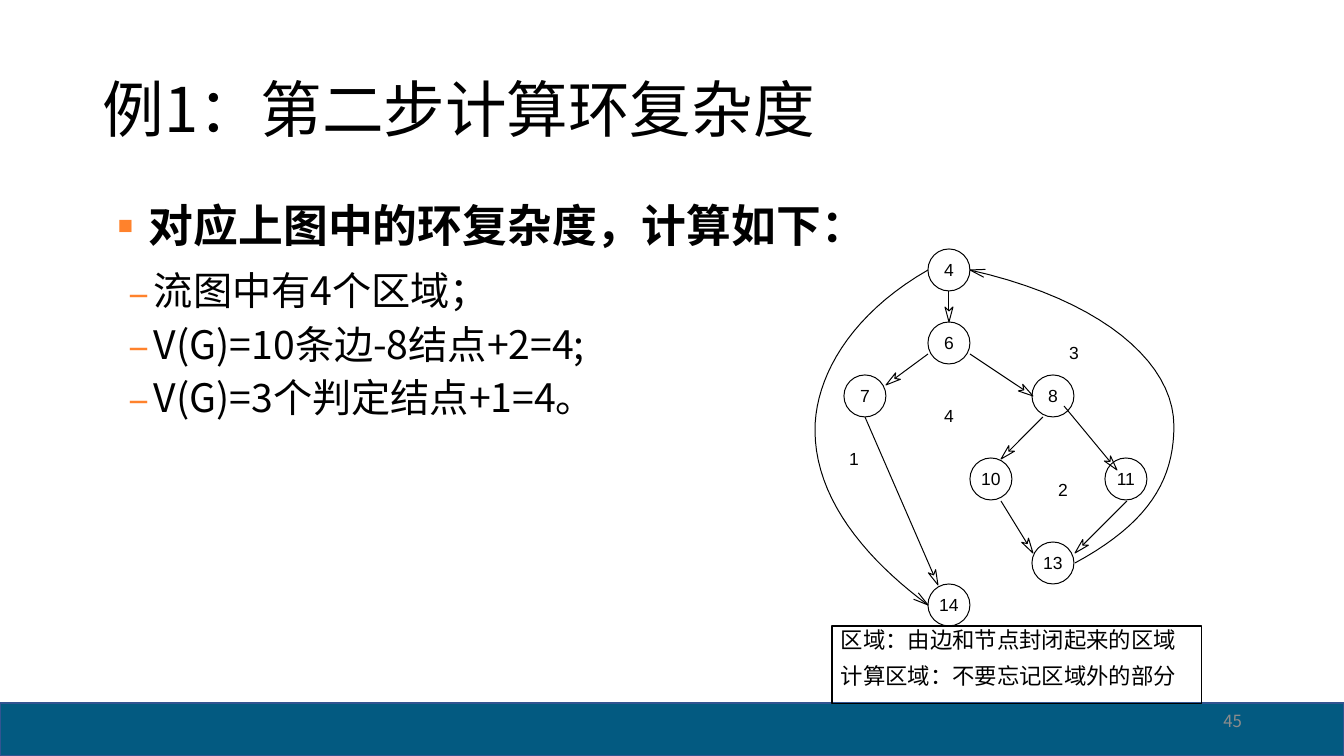
from math import hypot

from lxml.etree import SubElement
from pptx import Presentation
from pptx.dml.color import RGBColor
from pptx.enum.shapes import MSO_CONNECTOR as CONNECTOR, MSO_SHAPE as SHAPE
from pptx.enum.text import MSO_ANCHOR as ANCHOR, PP_ALIGN as ALIGN
from pptx.oxml.ns import qn
from pptx.util import Pt

SCALE = 914400 / 100.8
CJK = "Noto Sans CJK SC"
BLACK, ORANGE, GREY, BLUE, NAVY = "000000", "FF822C", "8C8C8C", "035A81", "325491"
LINE_WIDTH = 0.72
RADIUS = 21

NODES = {
    "4": (134, 21), "6": (134, 94), "7": (50, 147), "8": (238, 147),
    "10": (176, 230), "11": (311, 230), "13": (238, 314), "14": (134, 356),
}
EDGES = [
    ((134, 42), (134, 73)), ((113, 105), (71, 136)),
    ((155, 105), (218, 147)), ((50, 168), (123, 336)),
    ((228, 168), (186, 210)), ((249, 157), (302, 221)),
    ((186, 252), (218, 304)), ((312, 252), (260, 304)),
]
OUTER_EDGES = [
    [(260, 314), (334, 274), (359, 231), (359, 177), (359, 114), (288, 51), (155, 21)],
    [(113, 21), (33, 67), (0, 130), (0, 181), (0, 250), (51, 310), (113, 356)],
]
REGIONS = {"1": (39, 210), "2": (248, 241), "3": (259, 104), "4": (134, 167)}


def px(value):
    return round(value * SCALE)


def color(value):
    return RGBColor.from_string(value)


def apply(target, values):
    for name, value in values.items():
        setattr(target, name, value)


def outline(shape, value=BLACK, width=LINE_WIDTH):
    shape.line.color.rgb = color(value)
    shape.line.width = Pt(width)


def write(shape, lines, size, font=CJK, value=BLACK, bold=False, anchor=ANCHOR.TOP,
          margins=(0, 0, 0, 0), wrap=True, **paragraph_format):
    frame = shape.text_frame
    left, top, right, bottom = map(px, margins)
    apply(frame, dict(word_wrap=wrap, vertical_anchor=anchor, margin_left=left,
                      margin_top=top, margin_right=right, margin_bottom=bottom))
    for index, line in enumerate(lines):
        paragraph = frame.add_paragraph() if index else frame.paragraphs[0]
        apply(paragraph, paragraph_format)
        run = paragraph.add_run()
        run.text = line
        apply(run.font, dict(size=Pt(size), name=font, bold=bold))
        run.font.color.rgb = color(value)
        SubElement(run.font._element, qn("a:ea"), typeface=font)
    return frame.paragraphs


def add_text(slide, box, lines, size, **values):
    shape = slide.shapes.add_textbox(*map(px, box))
    return write(shape, lines, size, **values)


def add_preset(slide, kind, box, fill=None, **line):
    shape = slide.shapes.add_shape(kind, *map(px, box))
    shape.shadow.inherit = False
    if fill:
        shape.fill.solid()
        shape.fill.fore_color.rgb = color(fill)
    else:
        shape.fill.background()
    outline(shape, **line)
    return shape


def add_path(slide, points, close=False):
    points = [(px(x), px(y)) for x, y in points]
    builder = slide.shapes.build_freeform(*points[0])
    builder.add_line_segments(points[1:], close=close)
    shape = builder.convert_to_shape()
    shape.shadow.inherit = False
    shape.fill.background()
    outline(shape)


def add_bullet(paragraph, character, left, hanging):
    properties = paragraph._p.get_or_add_pPr()
    properties.set("marL", str(px(left)))
    properties.set("indent", str(-px(hanging)))
    bullet_color = SubElement(properties, qn("a:buClr"))
    SubElement(bullet_color, qn("a:srgbClr"), val=ORANGE)
    SubElement(properties, qn("a:buFont"), typeface=CJK)
    SubElement(properties, qn("a:buChar"), char=character)


def back_from(tip, tail, back, side=0):
    (x, y), (tail_x, tail_y) = tip, tail
    length = hypot(x - tail_x, y - tail_y)
    unit_x, unit_y = (x - tail_x) / length, (y - tail_y) / length
    return x - back * unit_x - side * unit_y, y - back * unit_y + side * unit_x


def add_edge(slide, start, tip):
    notch = back_from(tip, start, 11)
    wings = [back_from(tip, start, 15, side) for side in (4, -4)]
    connector = slide.shapes.add_connector(
        CONNECTOR.STRAIGHT, *map(px, (*start, *notch)))
    outline(connector)
    SubElement(connector._element.spPr, qn("a:effectLst"))
    add_path(slide, [tip, wings[0], notch, wings[1]], close=True)


def bezier(points, steps=20):
    curve = []
    for step in range(steps + 1):
        t = step / steps
        weights = ((1 - t) ** 3, 3 * t * (1 - t) ** 2, 3 * t * t * (1 - t), t ** 3)
        curve.append(tuple(sum(weight * point[axis] for weight, point in zip(weights, points))
                           for axis in (0, 1)))
    return curve


def add_outer_edge(slide, points):
    add_path(slide, bezier(points[:4]) + bezier(points[3:])[1:])
    tip, control = points[-1], points[-2]
    add_path(slide, [back_from(tip, control, 15, 4), tip, back_from(tip, control, 15, -4)])


def add_flow_graph(slide, box):
    left, top = box[:2]

    def place(point):
        return left + point[0], top + point[1]

    label = dict(font="Arial", anchor=ANCHOR.MIDDLE, wrap=False, alignment=ALIGN.CENTER)
    for start, tip in EDGES:
        add_edge(slide, place(start), place(tip))
    for points in OUTER_EDGES:
        add_outer_edge(slide, [place(point) for point in points])
    for name, center in NODES.items():
        x, y = place(center)
        node = add_preset(slide, SHAPE.OVAL, (x - RADIUS, y - RADIUS, 2 * RADIUS, 2 * RADIUS))
        write(node, [name], 12.5, **label)
    for name, center in REGIONS.items():
        x, y = place(center)
        add_text(slide, (x - 10, y - 11, 20, 22), [name], 12.5, **label)


def add_footer(slide, box):
    left, top, width, height = box
    add_preset(slide, SHAPE.RECTANGLE, box, BLUE, value=NAVY, width=1)
    add_text(slide, (left + 950, top - 2, 302, 40), ["45"], 12, value=GREY,
             anchor=ANCHOR.MIDDLE, margins=(10, 5, 10, 5), alignment=ALIGN.RIGHT)


def add_title(slide, box):
    add_text(slide, box, ["例1：第二步计算环复杂度"], 44, anchor=ANCHOR.MIDDLE,
             margins=(10, 5, 10, 5), line_spacing=0.9)


def add_body(slide, box):
    left, top, width, height = box
    heading = add_text(slide, (left, top, width, 66), ["对应上图中的环复杂度，计算如下："], 32,
                       bold=True, margins=(10, 5, 10, 0), line_spacing=0.82)
    add_bullet(heading[0], "▪", 26, 25)
    steps = ["流图中有4个区域；", "V(G)=10条边-8结点+2=4;", "V(G)=3个判定结点+1=4。"]
    items = add_text(slide, (left, top + 73, width, height - 73), steps, 28,
                     margins=(10, 0, 10, 5), line_spacing=0.82, space_after=Pt(10.4))
    for item in items:
        add_bullet(item, "–", 51, 25)


def add_legend(slide, box):
    legend = add_preset(slide, SHAPE.RECTANGLE, box, width=0.75)
    lines = ["区域：由边和节点封闭起来的区域", "计算区域：不要忘记区域外的部分"]
    write(legend, lines, 16, margins=(9, 5, 0, 0), alignment=ALIGN.LEFT,
          line_spacing=0.82, space_after=Pt(9.6))


presentation = Presentation()
apply(presentation, dict(slide_width=px(1344), slide_height=px(756)))
slide = presentation.slides.add_slide(presentation.slide_layouts[6])
add_footer(slide, (0, 703, 1344, 53))
add_title(slide, (93, 40, 1159, 146))
add_body(slide, (93, 202, 1159, 499))
add_flow_graph(slide, (815, 249, 360, 378))
add_legend(slide, (832, 626, 370, 78))
presentation.save("out.pptx")
